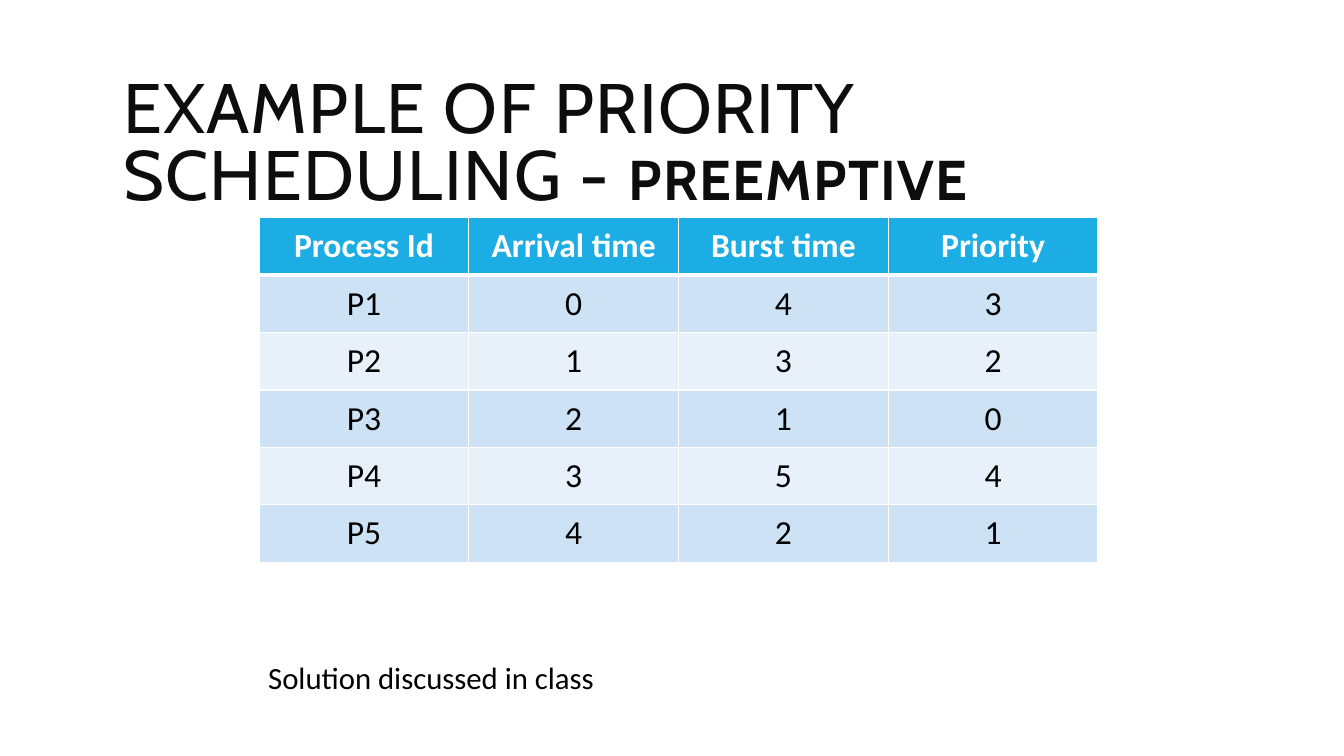
from dataclasses import dataclass

from lxml import etree
from pptx import Presentation
from pptx.dml.color import RGBColor
from pptx.enum.text import MSO_ANCHOR, MSO_AUTO_SIZE, PP_ALIGN
from pptx.oxml.ns import qn
from pptx.util import Inches, Pt


@dataclass(frozen=True)
class Theme:
    """Fonts, colours and type sizes of the deck."""
    heading_font: str = "Cabin"
    text_font: str = "Calibri"
    heading: str = "0D0D0D"
    text: str = "000000"
    white: str = "FFFFFF"
    accent: str = "1CADE4"
    bands: tuple = ("CDE3F5", "E8F1FA")
    title_size: int = 50
    emphasis_size: int = 40
    table_size: int = 24
    note_size: int = 22


class SlideBuilder:
    """Holds the theme and the current slide."""

    def __init__(self, slide, theme):
        """Keep the slide and its theme."""
        self.slide, self.theme = slide, theme

    def place(self, shape, left, top, width, height):
        """Move and size a shape, in inches."""
        shape.left, shape.top = Inches(left), Inches(top)
        shape.width, shape.height = Inches(width), Inches(height)
        shape.text_frame.word_wrap = True
        shape.text_frame.auto_size = MSO_AUTO_SIZE.NONE

    def run(self, paragraph, text, font, size, color, bold=False):
        """Add a formatted run and return it."""
        run = paragraph.add_run()
        run.text = text
        run.font.name, run.font.size, run.font.bold = font, Pt(size), bold
        run.font.color.rgb = RGBColor.from_string(color)
        return run

    def title(self, text, emphasis, box):
        """Fill the title, ending in a smaller bold word."""
        theme, shape = self.theme, self.slide.shapes.title
        self.place(shape, *box)
        shape.text_frame.vertical_anchor = MSO_ANCHOR.MIDDLE
        paragraph = shape.text_frame.paragraphs[0]
        paragraph.alignment = PP_ALIGN.LEFT
        paragraph.line_spacing = 0.8
        for words, size, bold in ((text, theme.title_size, False),
                                  (emphasis, theme.emphasis_size, True)):
            run = self.run(paragraph, words, theme.heading_font, size, theme.heading, bold)
            run.font._element.set("spc", "100")

    def body(self, text, box):
        """Fill the body placeholder with one indented line."""
        theme, shape = self.theme, self.slide.placeholders[1]
        self.place(shape, *box)
        frame = shape.text_frame
        frame.margin_left = frame.margin_right = Inches(0.05)
        frame.margin_top = frame.margin_bottom = Inches(0.05)
        paragraph = frame.paragraphs[0]
        paragraph.line_spacing = 0.9
        paragraph.space_before, paragraph.space_after = Pt(12), Pt(2)
        props = paragraph._p.get_or_add_pPr()
        props.set("marL", str(Inches(0.1)))
        props.set("indent", str(-Inches(0.1)))
        color = etree.SubElement(props, qn("a:buClr"))
        etree.SubElement(color, qn("a:srgbClr"), val=theme.accent)
        etree.SubElement(props, qn("a:buChar"), char=" ")
        self.run(paragraph, text, theme.text_font, theme.note_size, theme.text)

    def borders(self, cell, **widths):
        """Draw the white cell borders; widths in points override 1."""
        props = cell._tc.get_or_add_tcPr()
        for side in "LRTB":
            line = etree.SubElement(props, qn("a:ln" + side), w=str(Pt(widths.get(side, 1))))
            fill = etree.SubElement(line, qn("a:solidFill"))
            etree.SubElement(fill, qn("a:srgbClr"), val=self.theme.white)

    def table(self, rows, left, top, column_width, row_height):
        """Add a centred table with a header row and banded rows."""
        theme, columns = self.theme, len(rows[0])
        table = self.slide.shapes.add_table(
            len(rows), columns, Inches(left), Inches(top),
            Inches(column_width * columns), Inches(row_height * len(rows))).table
        for column in table.columns:
            column.width = Inches(column_width)
        for r, values in enumerate(rows):
            table.rows[r].height = Inches(row_height)
            header = r == 0
            fill = theme.accent if header else theme.bands[(r - 1) % 2]
            edges = {0: {"B": 3}, 1: {"T": 3}}.get(r, {})
            for c, value in enumerate(values):
                cell = table.cell(r, c)
                self.borders(cell, **edges)
                cell.fill.solid()
                cell.fill.fore_color.rgb = RGBColor.from_string(fill)
                cell.vertical_anchor = MSO_ANCHOR.MIDDLE
                cell.margin_left = cell.margin_right = Inches(0.1)
                cell.margin_top = cell.margin_bottom = Inches(0.08)
                paragraph = cell.text_frame.paragraphs[0]
                paragraph.alignment = PP_ALIGN.CENTER
                self.run(paragraph, str(value), theme.text_font, theme.table_size,
                         theme.white if header else theme.text, header)


PROCESSES = [
    ("Process Id", "Arrival time", "Burst time", "Priority"),
    ("P1", 0, 4, 3),
    ("P2", 1, 3, 2),
    ("P3", 2, 1, 0),
    ("P4", 3, 5, 4),
    ("P5", 4, 2, 1),
]


def main():
    """Build and save the slide."""
    deck = Presentation()
    deck.slide_width, deck.slide_height = Inches(13.33), Inches(7.5)
    builder = SlideBuilder(deck.slides.add_slide(deck.slide_layouts[1]), Theme())
    builder.title("EXAMPLE OF PRIORITY SCHEDULING - ", "PREEMPTIVE", (1.12, 0.64, 10.63, 1.64))
    builder.body("Solution discussed in class", (2.51, 6.53, 8.45, 0.52))
    builder.table(PROCESSES, left=2.57, top=2.16, column_width=2.08, row_height=0.57)
    deck.save("out.pptx")


main()
